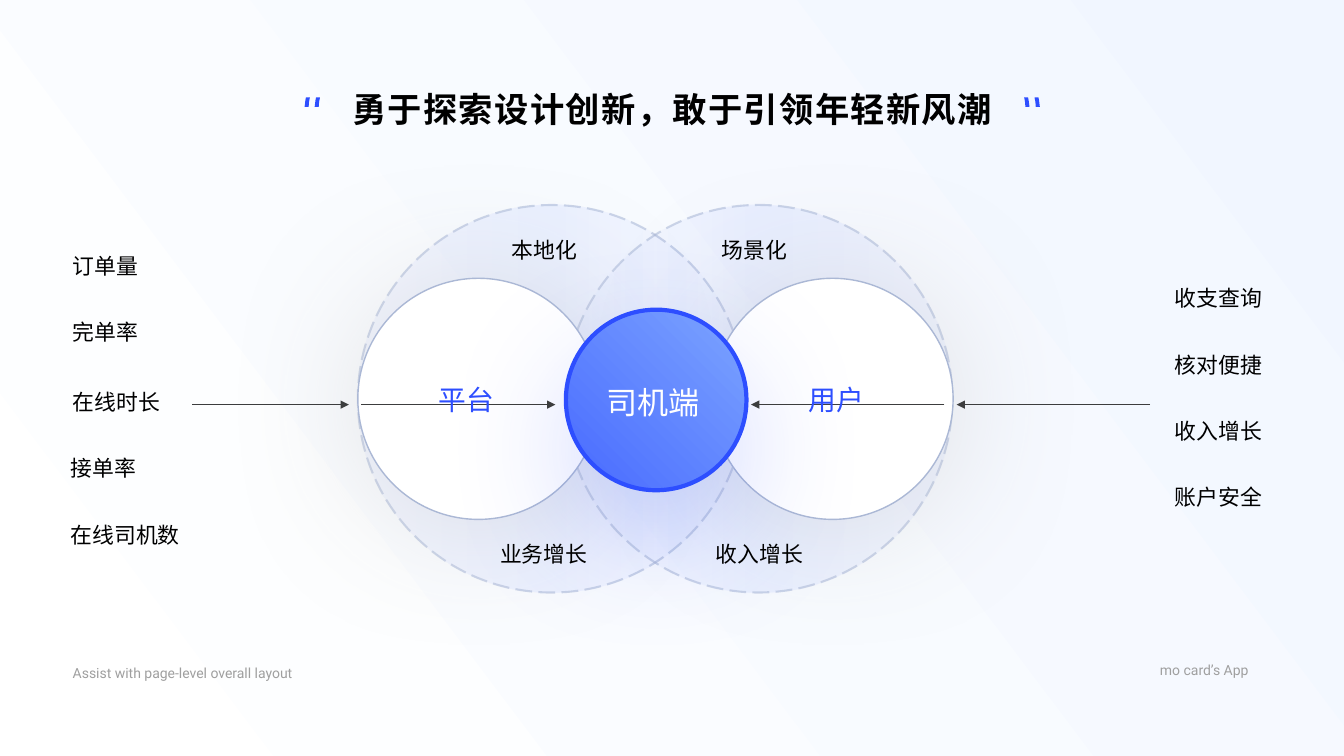
"""Build the slide that relates platform, driver app and user."""
from dataclasses import dataclass

from lxml.etree import SubElement
from pptx import Presentation
from pptx.dml.color import RGBColor
from pptx.enum.dml import MSO_LINE
from pptx.enum.lang import MSO_LANGUAGE_ID
from pptx.enum.shapes import MSO_CONNECTOR, MSO_SHAPE
from pptx.enum.text import MSO_ANCHOR, MSO_AUTO_SIZE, PP_ALIGN
from pptx.oxml.ns import qn
from pptx.util import Pt


@dataclass(frozen=True)
class TextStyle:
    font: str
    size: float
    leading: float
    color: str
    bold: bool = False
    tracking: int = 0
    language: MSO_LANGUAGE_ID = MSO_LANGUAGE_ID.SIMPLIFIED_CHINESE


@dataclass(frozen=True)
class Theme:
    blue: str = "2D4EFF"
    halo: str = "496BFF"
    halo_line: str = "A4B3D2"
    side_line: str = "ABB8D5"
    white: str = "FFFFFF"
    arrow: str = "3C3D3E"
    backdrop: tuple = ("F1F6FF", "FFFFFF")
    core: tuple = ("7CA4FF", "486AFF")
    side_shadow: tuple = ("BFBFBF", 42, 100, 4)
    core_shadow: tuple = ("2D4EFF", 20, 91, 33.9)
    title: TextStyle = TextStyle("Cabin", 24.5, 28.5, "000000", True, 100)
    label: TextStyle = TextStyle("Karla", 15.6, 18.5, "000000")
    side: TextStyle = TextStyle("Karla", 19.8, 23, "2D4EFF")
    center: TextStyle = TextStyle("Karla", 22.2, 26, "FFFFFF")
    footer: TextStyle = TextStyle("Roboto", 10, 11.5, "9F9F9F",
                                  language=MSO_LANGUAGE_ID.ENGLISH_US)


class Canvas:
    def __init__(self, slide, theme):
        self.slide = slide
        self.theme = theme

    def blend(self, fill, colors, clockwise):
        fill.gradient()
        fill.gradient_angle = 360 - clockwise
        for stop, color in zip(fill.gradient_stops, colors):
            stop.color.rgb = RGBColor.from_string(color)

    def typeset(self, shape, text, style, align):
        frame = shape.text_frame
        frame.margin_left = frame.margin_right = 0
        frame.margin_top = frame.margin_bottom = 0
        frame.word_wrap = False
        frame.auto_size = MSO_AUTO_SIZE.NONE
        frame.vertical_anchor = MSO_ANCHOR.TOP
        paragraph = frame.paragraphs[0]
        paragraph.alignment = align
        paragraph.line_spacing = Pt(style.leading)
        run = paragraph.add_run()
        run.text = text
        run.font.name = style.font
        run.font.size = Pt(style.size)
        run.font.bold = style.bold
        run.font.color.rgb = RGBColor.from_string(style.color)
        run.font.language_id = style.language
        properties = next(shape.element.iter(qn("a:rPr")))
        properties.set("spc", str(style.tracking))
        SubElement(properties, qn("a:ea"), typeface=style.font)

    def title(self, text, left, top, width, height):
        heading = self.slide.shapes.title
        heading.left, heading.top = Pt(left), Pt(top)
        heading.width, heading.height = Pt(width), Pt(height)
        self.typeset(heading, text, self.theme.title, PP_ALIGN.CENTER)

    def text(self, text, left, top, width, style, align=PP_ALIGN.LEFT):
        box = self.slide.shapes.add_textbox(
            Pt(left), Pt(top), Pt(width), Pt(style.leading + 1.5))
        self.typeset(box, text, style, align)

    def circle(self, left, top, size, line, weight, shadow=None):
        disc = self.slide.shapes.add_shape(
            MSO_SHAPE.OVAL, Pt(left), Pt(top), Pt(size), Pt(size))
        disc.fill.solid()
        disc.fill.fore_color.rgb = RGBColor.from_string(self.theme.white)
        disc.line.color.rgb = RGBColor.from_string(line)
        disc.line.width = Pt(weight)
        disc.shadow.inherit = False
        if shadow:
            color, opacity, blur, distance = shadow
            effects = disc.element.spPr.find(qn("a:effectLst"))
            outer = SubElement(effects, qn("a:outerShdw"),
                               blurRad=str(Pt(blur)), dist=str(Pt(distance)),
                               dir="5400000", algn="ctr", rotWithShape="0")
            tint = SubElement(outer, qn("a:srgbClr"), val=color)
            SubElement(tint, qn("a:alpha"), val=str(opacity * 1000))
        return disc

    def halo(self, left, top, size, rotation):
        ring = self.circle(left, top, size, self.theme.halo_line, 1.5)
        ring.rotation = rotation
        ring.line.dash_style = MSO_LINE.LONG_DASH
        self.blend(ring.fill, (self.theme.halo,) * 2, 180)
        properties = ring.element.spPr
        stops = properties.find(qn("a:gradFill")).find(qn("a:gsLst"))
        for stop in list(stops):
            stops.remove(stop)
        for position, opacity in ((0, 4), (50, 7), (100, 0)):
            stop = SubElement(stops, qn("a:gs"), pos=str(position * 1000))
            tint = SubElement(stop, qn("a:srgbClr"), val=self.theme.halo)
            SubElement(tint, qn("a:alpha"), val=str(opacity * 1000))
        outline = properties.find(qn("a:ln")).find(qn("a:solidFill"))
        SubElement(outline[0], qn("a:alpha"), val="50000")

    def arrow(self, start, end, y):
        link = self.slide.shapes.add_connector(
            MSO_CONNECTOR.STRAIGHT, Pt(start), Pt(y), Pt(end), Pt(y))
        link.line.color.rgb = RGBColor.from_string(self.theme.arrow)
        link.line.width = Pt(1.22)
        properties = link.element.spPr
        SubElement(properties.find(qn("a:ln")), qn("a:tailEnd"),
                   type="triangle", w="med", len="med")
        SubElement(properties, qn("a:effectLst"))

    def quote_tick(self, x, y, direction):
        outline = [(0, 6.8), (0.6, 2), (1, 0), (3.8, 0), (3.2, 3.2), (2.9, 6.8)]
        points = [(Pt(x + direction * dx), Pt(y + dy)) for dx, dy in outline]
        builder = self.slide.shapes.build_freeform(*points[0])
        builder.add_line_segments(points[1:], close=True)
        tick = builder.convert_to_shape()
        tick.fill.solid()
        tick.fill.fore_color.rgb = RGBColor.from_string(self.theme.blue)
        tick.line.fill.background()
        tick.shadow.inherit = False


def main():
    theme = Theme()
    deck = Presentation()
    deck.slide_width, deck.slide_height = Pt(960), Pt(540)
    canvas = Canvas(deck.slides.add_slide(deck.slide_layouts[5]), theme)
    canvas.blend(canvas.slide.background.fill, theme.backdrop, 143)

    canvas.title("勇于探索设计创新，敢于引领年轻新风潮", 250.6, 64, 459.4, 32.4)
    for x, direction in ((217.6, 1), (224.8, 1), (742.8, -1), (735.4, -1)):
        canvas.quote_tick(x, 69.6, direction)

    for left, rotation in ((255.6, 180), (403.4, 0)):
        canvas.halo(left, 146.4, 276.8, rotation)
    for left in (255.6, 508.6):
        canvas.circle(left, 198.8, 172.2, theme.side_line, 1, theme.side_shadow)
    core = canvas.circle(404.2, 221.2, 129, theme.blue, 3, theme.core_shadow)
    canvas.blend(core.fill, theme.core, 135)

    for start, end in ((137.5, 249.2), (258, 396.7), (674.6, 536.4), (821.5, 683.3)):
        canvas.arrow(start, end, 289)

    for metric, left, top in (("订单量", 52, 180.7), ("完单率", 52, 227.5),
                              ("在线时长", 52, 277.9), ("接单率", 50.5, 324.7),
                              ("在线司机数", 50.5, 373)):
        canvas.text(metric, left, top, 16 * len(metric), theme.label)
    for row, benefit in enumerate(("收支查询", "核对便捷", "收入增长", "账户安全")):
        canvas.text(benefit, 837.4, 203.8 + 47.3 * row, 64, theme.label, PP_ALIGN.RIGHT)
    for goal, left, top in (("本地化", 364.4, 169.2), ("场景化", 514.2, 169.2),
                            ("业务增长", 355.7, 386.6), ("收入增长", 509.8, 386.6)):
        canvas.text(goal, left, top, 16 * len(goal), theme.label, PP_ALIGN.RIGHT)
    for role, left, width, style in (("平台", 312.5, 41, theme.side),
                                     ("用户", 576.7, 41, theme.side),
                                     ("司机端", 432.8, 67.6, theme.center)):
        canvas.text(role, left, 274.4, width, style, PP_ALIGN.CENTER)
    canvas.text("Assist with page-level overall layout", 52, 475.2, 210, theme.footer)
    canvas.text("mo card’s App", 828.6, 473, 81.4, theme.footer)

    deck.save("out.pptx")


if __name__ == "__main__":
    main()
